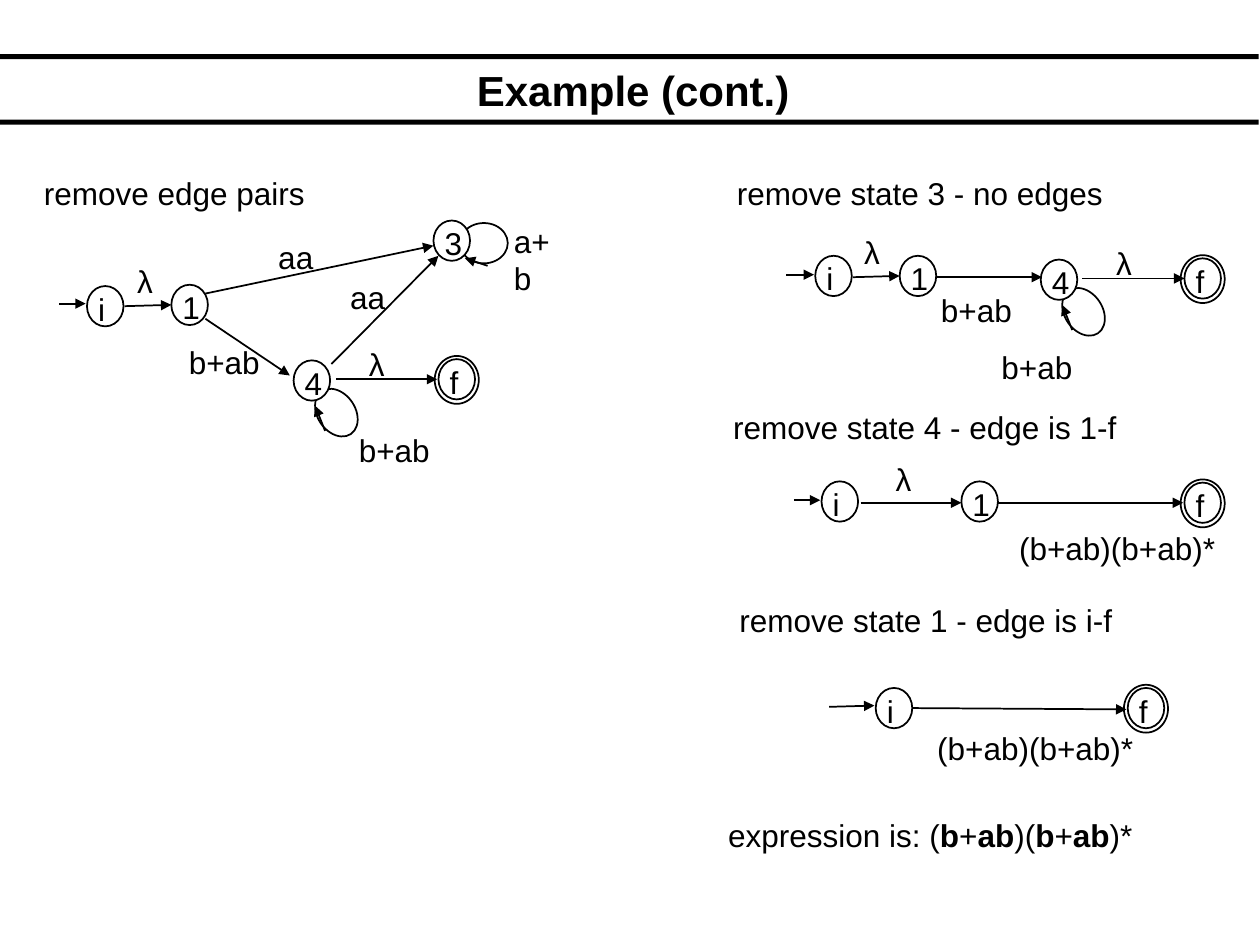
import lxml.etree
import pptx
import pptx.dml.color
import pptx.enum.shapes
import pptx.enum.text
import pptx.oxml.ns
import pptx.util

COLUMNS, ROWS = 100, 75
BLACK, WHITE = "000000", "FFFFFF"
STATE_WIDTH, STATE_HEIGHT = 2.9, 3.2
LABEL_WIDTHS = {"i": 2.5, "f": 2.7, "1": 3.4, "3": 3.4, "4": 3.4}


def color(hex_string):
    return pptx.dml.color.RGBColor.from_string(hex_string)


class AutomatonSlide:
    """Draws on one slide; all lengths are columns and rows of its grid."""

    font_name = "Arial"
    font_size = 18
    line_width = 1

    def __init__(self, presentation):
        self.slide = presentation.slides.add_slide(presentation.slide_layouts[6])
        self.column_width = presentation.slide_width / COLUMNS
        self.row_height = presentation.slide_height / ROWS

    def place(self, column, row):
        return round(column * self.column_width), round(row * self.row_height)

    def shape(self, kind, column, row, width, height, fill, line=None, rotation=0):
        shape = self.slide.shapes.add_shape(
            kind, *self.place(column, row), *self.place(width, height))
        shape.shadow.inherit = False
        shape.rotation = rotation
        shape.fill.solid()
        shape.fill.fore_color.rgb = color(fill)
        if line:
            shape.line.color.rgb = color(line)
            shape.line.width = pptx.util.Pt(self.line_width)
        else:
            shape.line.fill.background()

    def bar(self, row):
        self.shape(pptx.enum.shapes.MSO_SHAPE.RECTANGLE, 0, row, 99.9, 0.4, BLACK)

    def circle(self, column, row, width, height, rotation=0):
        self.shape(pptx.enum.shapes.MSO_SHAPE.OVAL, column, row, width, height,
                   WHITE, BLACK, rotation)

    def format_run(self, run, size, bold):
        run.font.name = self.font_name
        run.font.size = pptx.util.Pt(size)
        run.font.bold = bold
        run.font.color.rgb = color(BLACK)

    def text(self, content, column, row, width):
        """Adds one line of text; every second piece between bars is bold."""
        box = self.slide.shapes.add_textbox(
            *self.place(column, row), *self.place(width, 4))
        box.text_frame.word_wrap = False
        box.text_frame.auto_size = pptx.enum.text.MSO_AUTO_SIZE.SHAPE_TO_FIT_TEXT
        paragraph = box.text_frame.paragraphs[0]
        for index, piece in enumerate(content.split("|")):
            run = paragraph.add_run()
            run.text = piece
            self.format_run(run, self.font_size, index % 2 == 1)

    def title(self, content, column, row, width, height):
        box = self.slide.shapes.add_textbox(
            *self.place(column, row), *self.place(width, height))
        box.text_frame.text = content
        box.text_frame.word_wrap = True
        box.text_frame.vertical_anchor = pptx.enum.text.MSO_ANCHOR.MIDDLE
        paragraph = box.text_frame.paragraphs[0]
        paragraph.alignment = pptx.enum.text.PP_ALIGN.CENTER
        self.format_run(paragraph.runs[0], 24, True)

    def arrow(self, start_column, start_row, end_column, end_row):
        connector = self.slide.shapes.add_connector(
            pptx.enum.shapes.MSO_CONNECTOR.STRAIGHT,
            *self.place(start_column, start_row), *self.place(end_column, end_row))
        connector.line.color.rgb = color(BLACK)
        connector.line.width = pptx.util.Pt(self.line_width)
        properties = connector._element.spPr
        head = lxml.etree.SubElement(
            properties.find(pptx.oxml.ns.qn("a:ln")), pptx.oxml.ns.qn("a:tailEnd"))
        head.set("type", "triangle")
        lxml.etree.SubElement(properties, pptx.oxml.ns.qn("a:effectLst"))

    def state(self, name, column, row):
        """Adds a labelled state; f is final and gets a second ring."""
        if name == "f":
            self.circle(column - 0.3, row - 0.25, 3.5, 3.8)
        self.circle(column, row, STATE_WIDTH, STATE_HEIGHT)
        self.text(name, column - 0.1, row - 0.2, LABEL_WIDTHS[name])

    def loop_right(self, column, row):
        self.circle(column + 2.1, row + 0.2, 3.8, 3.2)

    def loop_below(self, column, row):
        self.circle(column + 1.9, row + 2.1, 3, 4.1, 326)
        self.arrow(column + 2.5, row + 5.6, column + 1.7, row + 3.6)

    def automaton(self, states, arrows, labels):
        for state in states:
            self.state(*state)
        for arrow in arrows:
            self.arrow(*arrow)
        for label in labels:
            self.text(*label)


def main():
    presentation = pptx.Presentation()
    presentation.slide_width = pptx.util.Inches(10)
    presentation.slide_height = pptx.util.Inches(7.5)
    slide = AutomatonSlide(presentation)

    for row in (4.3, 9.5):
        slide.bar(row)
    slide.title("Example (cont.)", 15.8, 4.5, 68.9, 5.2)

    slide.text("remove edge pairs", 2.5, 13.3, 22.7)
    slide.loop_right(34.4, 17.5)
    slide.loop_below(23.3, 28.6)
    slide.automaton(
        states=[("i", 6.9, 22.7), ("1", 13.6, 22.6), ("3", 34.4, 17.5),
                ("4", 23.3, 28.6), ("f", 34.8, 28.5)],
        arrows=[(4.7, 24.1, 6.8, 24.1), (9.9, 24.3, 13.6, 24.2),
                (16.3, 23.3, 34.4, 19.5), (16.3, 25.3, 23, 29.8),
                (26.3, 28.9, 34.8, 20.3), (38.7, 21.1, 36.9, 20.5),
                (26.7, 30.1, 34.7, 30.1)],
        labels=[("λ", 9.9, 20.3, 3.4), ("aa", 21.1, 18.4, 4.8),
                ("aa", 26.8, 21.6, 4.8), ("a+b", 39.8, 17.1, 6.2),
                ("b+ab", 14, 26.7, 7.6), ("λ", 28.3, 26.9, 3.4),
                ("b+ab", 27.5, 33.7, 7.6)])

    slide.text("remove state 3 - no edges", 57.5, 13.3, 31.7)
    slide.loop_below(82.6, 20.6)
    slide.automaton(
        states=[("i", 64.7, 20.3), ("1", 71.4, 20.3),
                ("4", 82.6, 20.6), ("f", 94, 20.5)],
        arrows=[(62.4, 21.8, 64.6, 21.8), (67.7, 22, 71.4, 21.9),
                (74.3, 22, 82.7, 22), (85.9, 22.1, 94, 22.1)],
        labels=[("λ", 67.6, 18, 3.4), ("b+ab", 73.7, 22.6, 7.6),
                ("λ", 87.6, 18.9, 3.4), ("b+ab", 78.5, 27.1, 7.6)])

    slide.text("remove state 4 - edge is 1-f", 57.2, 31.9, 33.1)
    slide.automaton(
        states=[("i", 65.2, 38.2), ("1", 76.3, 38.2), ("f", 94, 38.3)],
        arrows=[(63, 39.7, 65.1, 39.7), (68.3, 39.9, 76.3, 39.9),
                (79.2, 39.9, 93.9, 39.9)],
        labels=[("λ", 70.1, 36, 3.4), ("(b+ab)(b+ab)*", 79.9, 41.5, 17.6)])

    slide.text("remove state 1 - edge is i-f", 57.7, 47.2, 32.3)
    slide.automaton(
        states=[("i", 69.5, 54.6), ("f", 89.5, 54.6)],
        arrows=[(65.8, 56.1, 69.4, 56), (72.4, 56.2, 89.4, 56.3)],
        labels=[("(b+ab)(b+ab)*", 73.4, 57.4, 17.6)])

    slide.text("expression is: (|b|+|ab|)(|b|+|ab|)*", 56.8, 64.3, 34.1)
    presentation.save("out.pptx")


if __name__ == "__main__":
    main()
